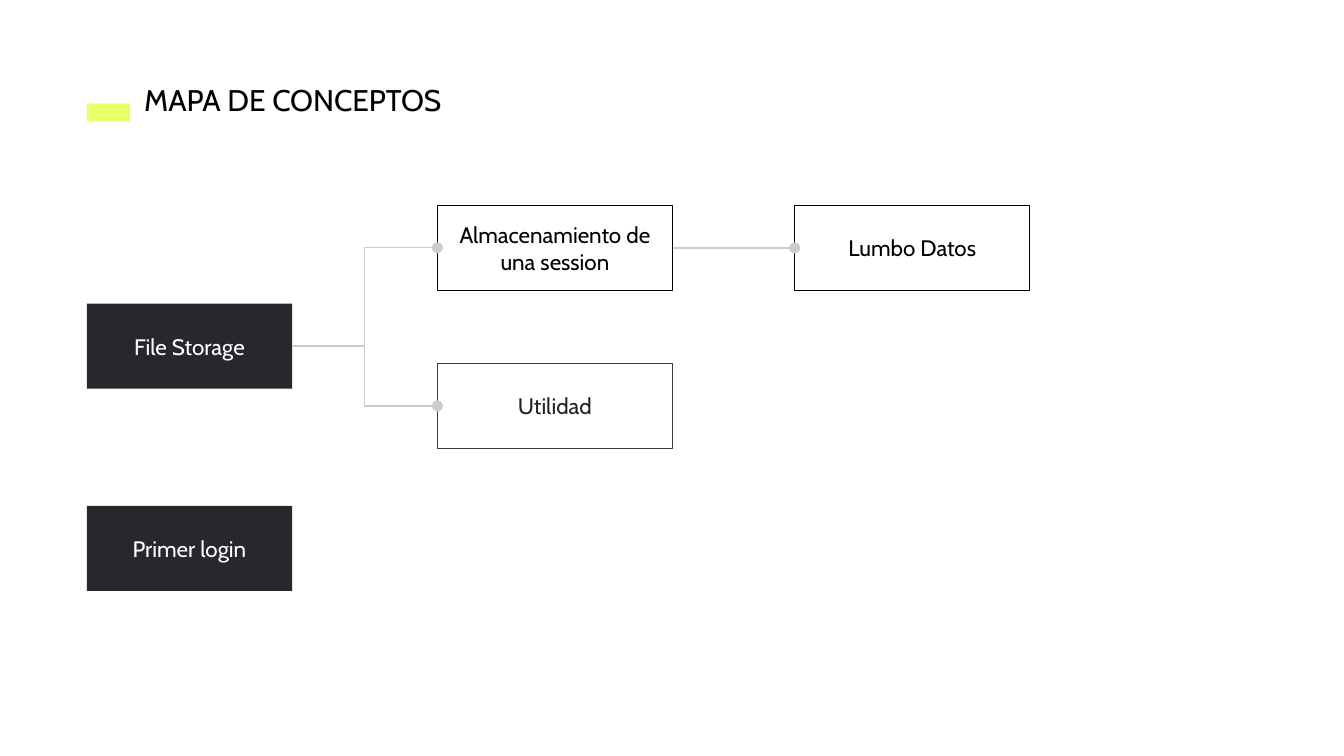
from lxml.etree import SubElement
from pptx import Presentation
from pptx.dml.color import RGBColor
from pptx.enum.shapes import MSO_CONNECTOR, MSO_SHAPE
from pptx.enum.text import MSO_ANCHOR as ANCHOR, MSO_AUTO_SIZE as AUTO, PP_ALIGN as ALIGN
from pptx.oxml.ns import qn
from pptx.util import Pt

FONT = "Cabin"
NODE_H = 45.6
ROOT_X, ROOT_W = 46.5, 110
CHILD_W = 126
RIGHT, LEFT = 3, 1


def rgb(value):
    """Turn a hex string into a colour."""
    return RGBColor.from_string(value)


def set_text(tf, text, size, color, align, anchor):
    """Write one formatted paragraph with even insets."""
    tf.word_wrap = True
    tf.margin_left = tf.margin_right = tf.margin_top = tf.margin_bottom = Pt(7.2)
    tf.vertical_anchor = anchor
    p = tf.paragraphs[0]
    p.text = text
    p.alignment = align
    p.font.name, p.font.size, p.font.color.rgb = FONT, Pt(size), rgb(color)


def add_box(slide, x, y, w, h, fill=None, line=None):
    """Add a rectangle with an optional fill and outline."""
    sp = slide.shapes.add_shape(MSO_SHAPE.RECTANGLE, Pt(x), Pt(y), Pt(w), Pt(h))
    sp.shadow.inherit = False
    if fill:
        sp.fill.solid()
        sp.fill.fore_color.rgb = rgb(fill)
    else:
        sp.fill.background()
    if line:
        sp.line.color.rgb = rgb(line)
        sp.line.width = Pt(0.75)
    else:
        sp.line.fill.background()
    return sp


def add_node(slide, text, x, y, w, color, fill=None, line=None):
    """Add a concept box with centred text."""
    sp = add_box(slide, x, y, w, NODE_H, fill, line)
    set_text(sp.text_frame, text, 12, color, ALIGN.CENTER, ANCHOR.MIDDLE)
    return sp


def add_link(slide, start, end):
    """Join two concepts with an elbow line ending in a dot."""
    link = slide.shapes.add_connector(MSO_CONNECTOR.ELBOW, 0, 0, 0, 0)
    link.begin_connect(start, RIGHT)
    link.end_connect(end, LEFT)
    link.line.color.rgb = rgb("CCCCCC")
    link.line.width = Pt(0.75)
    SubElement(link.line._get_or_add_ln(), qn("a:tailEnd"), type="oval")
    SubElement(link._element.spPr, qn("a:effectLst"))


def add_title(slide, x, y, w, h):
    """Place the slide title after its accent bar."""
    add_box(slide, ROOT_X, 55.4, 23.2, 9.6, "EAFF6A")
    sp = slide.shapes.title
    sp.left, sp.top, sp.width, sp.height = Pt(x), Pt(y), Pt(w), Pt(h)
    set_text(sp.text_frame, "MAPA DE CONCEPTOS", 16, "000000", ALIGN.LEFT, ANCHOR.TOP)
    sp.text_frame.auto_size = AUTO.SHAPE_TO_FIT_TEXT


def add_map(slide, x, y):
    """Lay out the concept tree from its top left corner and link it."""
    child_x = x + 187.8
    root = {"w": ROOT_W, "color": "FFFFFF", "fill": "27282D"}
    child = {"w": CHILD_W, "color": "000000", "fill": "FFFFFF", "line": "000000"}
    storage = add_node(slide, "File Storage", x, y + 52.6, **root)
    add_node(slide, "Primer login", x, y + 161, **root)
    session = add_node(slide, "Almacenamiento de una session", child_x, y, **child)
    utility = add_node(slide, "Utilidad", child_x, y + 84.6, CHILD_W, "222222", line="393B43")
    database = add_node(slide, "Lumbo Datos", x + 379.2, y, **child)
    for start, end in ((storage, session), (storage, utility), (session, database)):
        add_link(slide, start, end)


def main():
    """Build the slide and save it."""
    prs = Presentation()
    prs.slide_width, prs.slide_height = Pt(720), Pt(405)
    slide = prs.slides.add_slide(prs.slide_layouts[5])
    add_title(slide, 70, 36.6, 193.6, 33.8)
    add_map(slide, ROOT_X, 110)
    prs.save("out.pptx")


if __name__ == "__main__":
    main()
